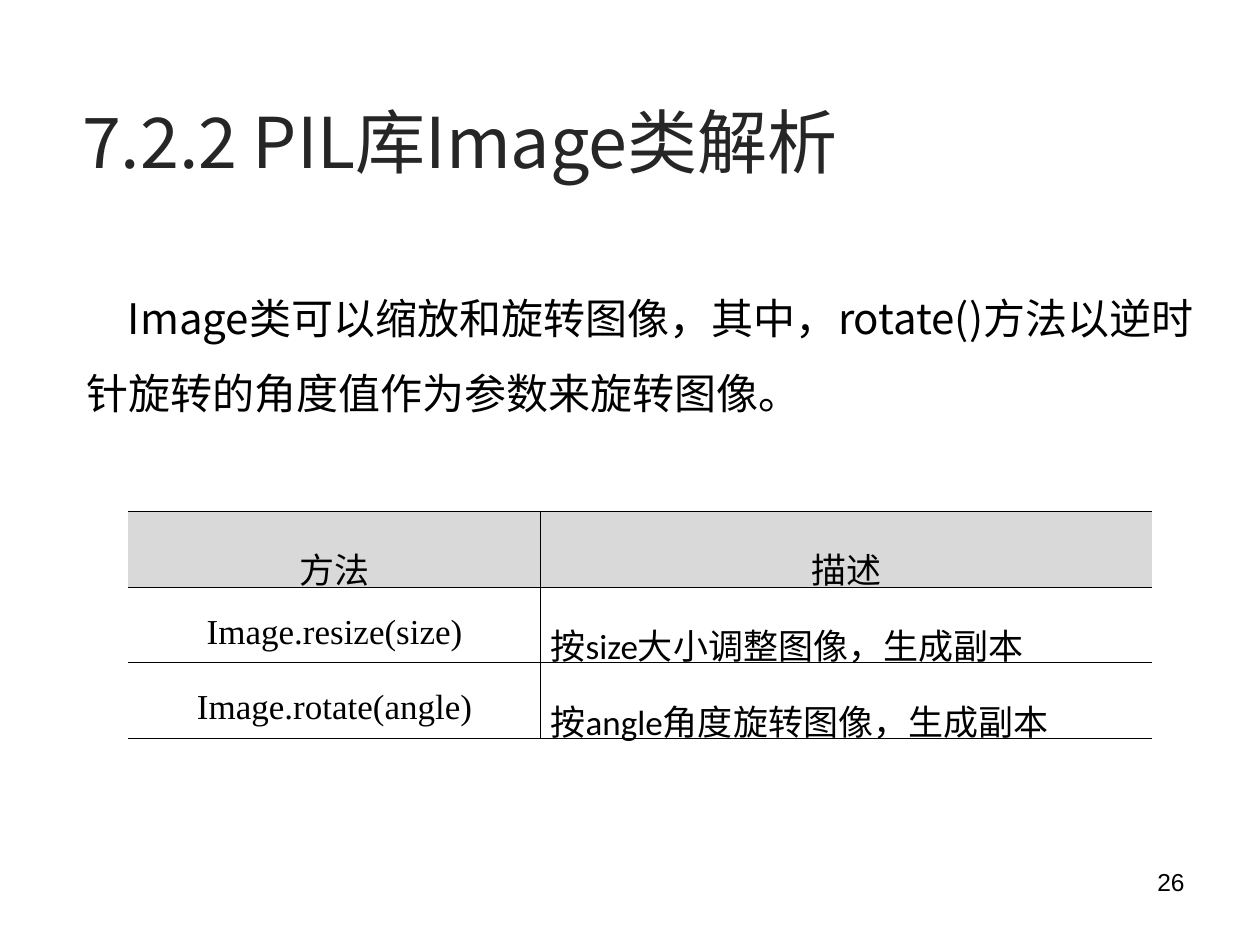
from lxml.etree import SubElement
from pptx import Presentation
from pptx.dml.color import RGBColor
from pptx.enum.text import MSO_ANCHOR as Anchor, MSO_AUTO_SIZE as AutoSize, PP_ALIGN as Align
from pptx.oxml.ns import qn
from pptx.util import Cm, Pt

SANS, SERIF, LATIN, NUMBER = "Noto Sans CJK SC", "Times New Roman", "Calibri", "Arial"
TITLE = "7.2.2 PIL库Image类解析"
BODY = "Image类可以缩放和旋转图像，其中，rotate()方法以逆时针旋转的角度值作为参数来旋转图像。"
PAGE = "26"
ROWS = [
    ("方法", "描述"),
    ("Image.resize(size)", "按size大小调整图像，生成副本"),
    ("Image.rotate(angle)", "按angle角度旋转图像，生成副本"),
]
COLUMN_WIDTHS = (8.31, 12.32)
ROW_HEIGHT = 1.27
NO_STYLE = "{2D5ABB26-0587-4C30-8999-92F81FD0307C}"


def color(value):
    return RGBColor.from_string(value)


def write(frame, text, size, font, hex_color="000000", align=Align.LEFT, spacing=None):
    frame.text = text
    paragraph = frame.paragraphs[0]
    paragraph.alignment = align
    paragraph.line_spacing = spacing
    run = paragraph.runs[0]
    run.font.size = Pt(size)
    run.font.color.rgb = color(hex_color)
    run.font.name = font
    SubElement(run.font._element, qn("a:ea"), typeface=SANS)
    return paragraph


def place(shape, left, top, width, height):
    shape.left, shape.top, shape.width, shape.height = map(Cm, (left, top, width, height))


def add_text_shadow(run):
    properties = run.font._element
    effects = SubElement(properties, qn("a:effectLst"))
    properties.find(qn("a:latin")).addprevious(effects)
    shadow = SubElement(effects, qn("a:outerShdw"), blurRad="38100", dist="38100",
                        dir="2700000", algn="tl")
    SubElement(SubElement(shadow, qn("a:srgbClr"), val="C0C0C0"), qn("a:alpha"), val="100000")


def add_borders(cell, sides):
    properties = cell._tc.get_or_add_tcPr()
    for side in "LRTB":
        line = SubElement(properties, qn(f"a:ln{side}"), w=str(Pt(0.45)))
        if side in sides:
            fill = SubElement(line, qn("a:solidFill"))
            SubElement(fill, qn("a:srgbClr"), val="000000")
        else:
            SubElement(line, qn("a:noFill"))


def add_method_table(slide):
    frame = slide.shapes.add_table(len(ROWS), len(COLUMN_WIDTHS), Cm(2.59), Cm(10.31),
                                   Cm(sum(COLUMN_WIDTHS)), Cm(ROW_HEIGHT * len(ROWS)))
    table = frame.table
    frame._element.find(".//" + qn("a:tableStyleId")).text = NO_STYLE
    for column, width in zip(table.columns, COLUMN_WIDTHS):
        column.width = Cm(width)
    for i, texts in enumerate(ROWS):
        table.rows[i].height = Cm(ROW_HEIGHT)
        for j, text in enumerate(texts):
            cell = table.cell(i, j)
            description = i > 0 and j == 1
            write(cell.text_frame, text, 20, LATIN if description else SERIF,
                  align=Align.JUSTIFY if description else Align.CENTER, spacing=1.5)
            cell.margin_left = cell.margin_right = Cm(0.2)
            add_borders(cell, "RTB" if j == 0 else "LTB")
            cell.fill.solid()
            cell.fill.fore_color.rgb = color("D9D9D9" if i == 0 else "FFFFFF")


def main():
    presentation = Presentation()
    presentation.slide_width, presentation.slide_height = Cm(25.4), Cm(19.05)
    slide = presentation.slides.add_slide(presentation.slide_layouts[5])

    title = slide.shapes.title
    place(title, 1.4, 1.85, 17.02, 1.96)
    paragraph = write(title.text_frame, TITLE, 40, SANS, "262626")
    add_text_shadow(paragraph.runs[0])
    title.text_frame.word_wrap = False
    title.text_frame.auto_size = AutoSize.SHAPE_TO_FIT_TEXT
    title.text_frame.vertical_anchor = Anchor.TOP

    body = slide.shapes.add_textbox(0, 0, 0, 0)
    place(body, 1.5, 5.26, 22.81, 3.3)
    body.text_frame.word_wrap = True
    paragraph = write(body.text_frame, BODY, 24, SANS, align=Align.JUSTIFY, spacing=1.5)
    paragraph._p.get_or_add_pPr().set("indent", str(Cm(0.83)))

    add_method_table(slide)

    number = slide.shapes.add_textbox(0, 0, 0, 0)
    place(number, 18.21, 17.35, 5.92, 1.32)
    number.text_frame.word_wrap = True
    write(number.text_frame, PAGE, 14, NUMBER, align=Align.RIGHT)

    presentation.save("out.pptx")


if __name__ == "__main__":
    main()
